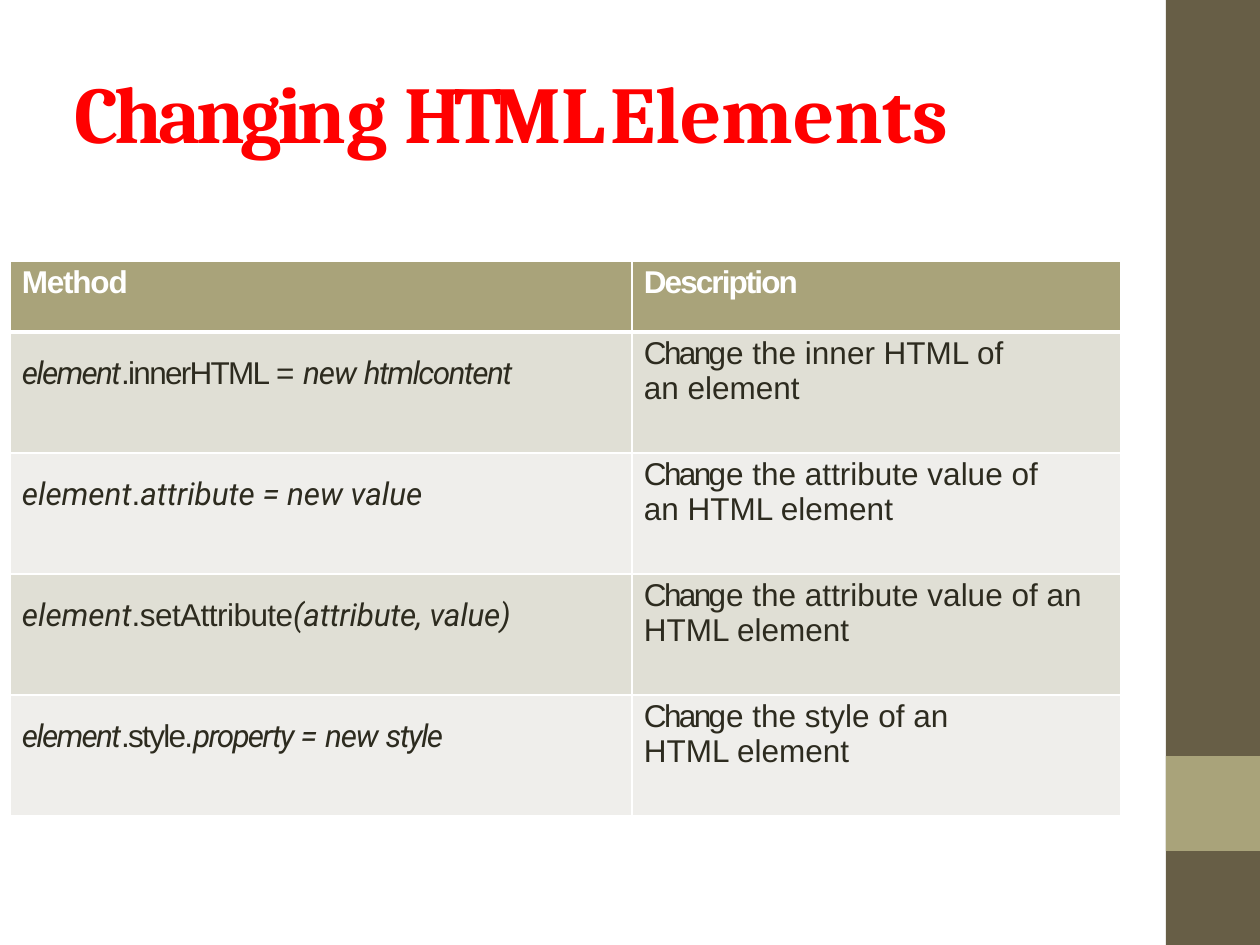
from lxml import etree
from pptx import Presentation
from pptx.dml.color import RGBColor
from pptx.enum.shapes import MSO_SHAPE
from pptx.enum.text import MSO_ANCHOR
from pptx.oxml.ns import qn
from pptx.util import Pt

RECTANGLE = MSO_SHAPE.RECTANGLE
TOP = MSO_ANCHOR.TOP
EMU_PER_PX = 914400 / 126

WHITE, RED, INK = "FFFFFF", "FF0000", "2D2B1F"
DARK, OLIVE = "675E46", "A9A37A"
BANDS = ("E0DFD5", "EFEEEB")


def px(length):
    return round(length * EMU_PER_PX)


def color(value):
    return RGBColor.from_string(value)


class SlideBuilder:
    heading_font, body_font, code_font = "Cambria", "Arial", "Roboto"
    title_size, body_size = 46, 18

    def __init__(self, presentation):
        self.slide = presentation.slides.add_slide(presentation.slide_layouts[6])

    def rectangle(self, left, top, width, height, fill):
        shape = self.slide.shapes.add_shape(
            RECTANGLE, px(left), px(top), px(width), px(height))
        shape.shadow.inherit = False
        shape.fill.solid()
        shape.fill.fore_color.rgb = color(fill)
        shape.line.fill.background()

    def run(self, paragraph, text, spacing, font, size, fill, bold=False, italic=False):
        run = paragraph.add_run()
        run.text = text
        run.font.name, run.font.size = font, Pt(size)
        run.font.bold, run.font.italic = bold, italic
        run.font.color.rgb = color(fill)
        if spacing:
            run.font._element.set("spc", str(round(spacing * 100)))

    def title(self, left, top, width, height, pieces):
        frame = self.slide.shapes.add_textbox(
            px(left), px(top), px(width), px(height)).text_frame
        frame.word_wrap = True
        frame.vertical_anchor = TOP
        frame.margin_left = frame.margin_right = frame.margin_bottom = 0
        frame.margin_top = px(1)
        for text, spacing in pieces:
            self.run(frame.paragraphs[0], text, spacing,
                     self.heading_font, self.title_size, RED, bold=True)

    def table(self, left, top, column_widths, row_heights):
        table = self.slide.shapes.add_table(
            len(row_heights), len(column_widths), px(left), px(top),
            px(sum(column_widths)), px(sum(row_heights))).table
        for column, width in zip(table.columns, column_widths):
            column.width = px(width)
        for row, height in zip(table.rows, row_heights):
            row.height = px(height)
        return table

    def cell(self, cell, fill, margin_top, margin_right=0, top_line=1, bottom_line=1):
        cell.vertical_anchor = TOP
        cell.margin_left, cell.margin_right = px(12), px(margin_right)
        cell.margin_top, cell.margin_bottom = px(margin_top), 0
        # Borders come before the fill in the cell properties
        properties = cell._tc.get_or_add_tcPr()
        for side, width in (("L", 1), ("R", 1), ("T", top_line), ("B", bottom_line)):
            line = etree.SubElement(properties, qn(f"a:ln{side}"), w=str(Pt(width)))
            solid = etree.SubElement(line, qn("a:solidFill"))
            etree.SubElement(solid, qn("a:srgbClr"), val=WHITE)
        cell.fill.solid()
        cell.fill.fore_color.rgb = color(fill)
        return cell.text_frame

    def header(self, cell, text, spacing):
        frame = self.cell(cell, OLIVE, 4, bottom_line=3)
        self.run(frame.paragraphs[0], text, spacing,
                 self.body_font, self.body_size, WHITE, bold=True)

    def method(self, cell, fill, top_line, pieces):
        frame = self.cell(cell, fill, 23, top_line=top_line)
        for text, spacing, italic in pieces:
            font = self.code_font if italic else self.body_font
            self.run(frame.paragraphs[0], text, spacing,
                     font, self.body_size, INK, italic=italic)

    def description(self, cell, fill, top_line, margin_right, lines):
        frame = self.cell(cell, fill, 4, margin_right, top_line)
        # Every description opens with a tightly set "Chang"
        self.run(frame.paragraphs[0], "Chang", -1.5,
                 self.body_font, self.body_size, INK)
        for index, line in enumerate(lines):
            paragraph = frame.add_paragraph() if index else frame.paragraphs[0]
            self.run(paragraph, line, 0, self.body_font, self.body_size, INK)


# Method pieces (text, spacing, italic), right margin, description lines
ROWS = [
    ([("element", -1, True), (".innerHTML ", -1, False), ("= ", 0, False),
      ("new ", -0.6, True), ("htmlcontent", -0.9, True)],
     96, ["e the inner HTML of an element"]),
    ([("element", 0, True), (".", 0, False), ("attribute = new value", 0, True)],
     66, ["e the attribute value of an HTML element"]),
    ([("element", 0, True), (".setAttribute", -0.3, False),
      ("(attribute, value)", -0.1, True)],
     0, ["e the attribute value of an", "HTML element"]),
    ([("element", -1, True), (".style.", -1, False), ("property ", -1, True),
      ("= ", 0, True), ("new ", -0.6, True), ("style", -0.9, True)],
     131, ["e the style of an HTML element"]),
]


def main():
    presentation = Presentation()
    presentation.slide_width, presentation.slide_height = px(1260), px(945)
    builder = SlideBuilder(presentation)

    # Side band with its accent square
    builder.rectangle(1166, 0, 94, 945, DARK)
    builder.rectangle(1166, 756, 94, 95, OLIVE)

    builder.title(74, 62, 992, 100, [
        ("Changin", -2.4), ("g ", 0), ("HTM", -4.7), ("L", 3), ("E", -2), ("lements", 0)])

    # Methods table
    table = builder.table(10, 261, [622, 489], [71] + [121] * len(ROWS))
    builder.header(table.cell(0, 0), "Method", -0.7)
    builder.header(table.cell(0, 1), "Description", -1.1)
    for row, (pieces, margin_right, lines) in enumerate(ROWS, start=1):
        fill = BANDS[(row - 1) % 2]
        top_line = 3 if row == 1 else 1
        builder.method(table.cell(row, 0), fill, top_line, pieces)
        builder.description(table.cell(row, 1), fill, top_line, margin_right, lines)

    presentation.save("out.pptx")


if __name__ == "__main__":
    main()
